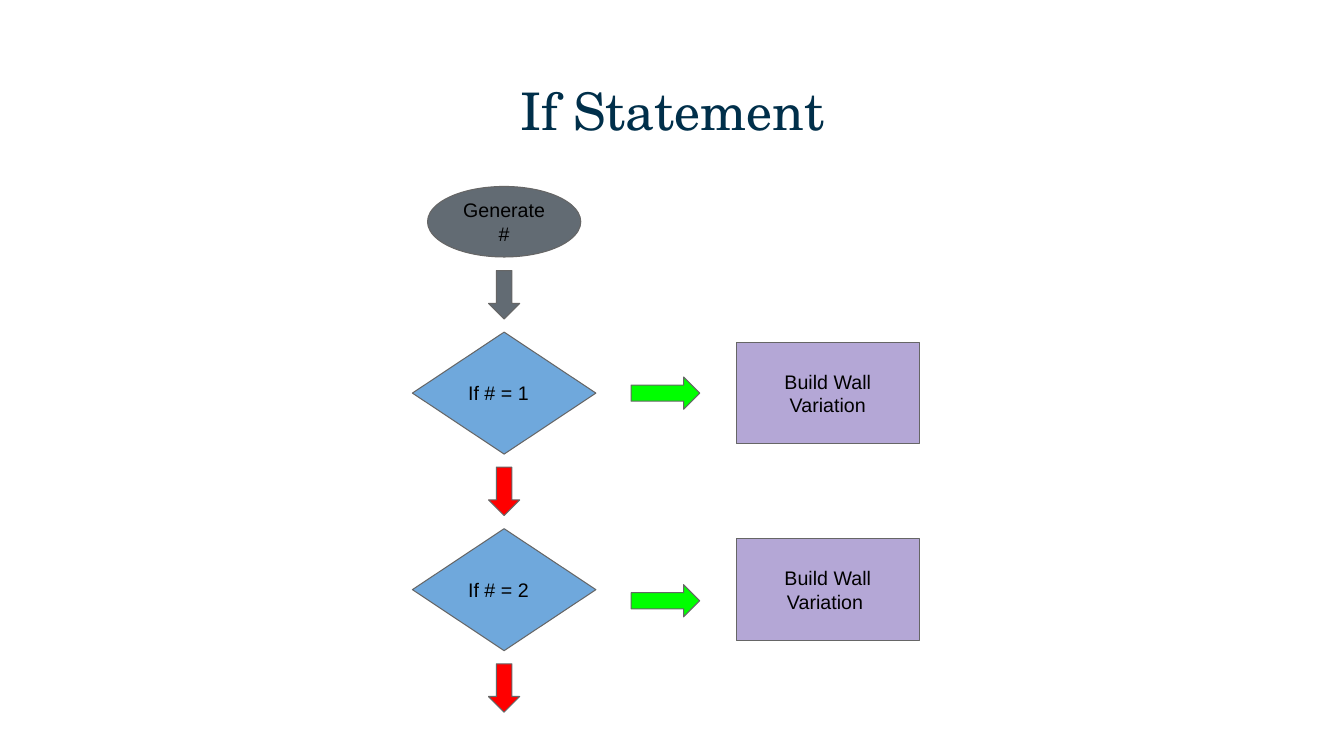
import pptx
import pptx.util
import pptx.dml.color
import pptx.enum.shapes
import pptx.enum.text

Inches, Pt = pptx.util.Inches, pptx.util.Pt
RGB = pptx.dml.color.RGBColor
Kind = pptx.enum.shapes.MSO_SHAPE
Align = pptx.enum.text.PP_ALIGN
Anchor = pptx.enum.text.MSO_ANCHOR

NAVY = RGB(0x00, 0x2F, 0x4A)
BLACK = RGB(0x00, 0x00, 0x00)
GRAY = RGB(0x62, 0x6B, 0x73)
EDGE = RGB(0x66, 0x66, 0x66)
BLUE = RGB(0x6F, 0xA8, 0xDC)
LILAC = RGB(0xB4, 0xA7, 0xD6)
RED = RGB(0xFF, 0x00, 0x00)
GREEN = RGB(0x00, 0xFF, 0x00)

# Column centres, first row centre and row step, in inches
MAIN, YES, BUILD = 5.0, 6.6, 8.21
TOP, STEP = 3.9, 1.95

deck = pptx.Presentation()
deck.slide_width, deck.slide_height = Inches(13.33), Inches(7.5)
slide = deck.slides.add_slide(deck.slide_layouts[5])

title = slide.shapes.title
title.left, title.top = Inches(0.92), Inches(0.4)
title.width, title.height = Inches(11.5), Inches(1.45)
title.text_frame.text = "If Statement"
title.text_frame.vertical_anchor = Anchor.MIDDLE
head = title.text_frame.paragraphs[0]
head.alignment = Align.CENTER
head.line_spacing = 0.9
head.font.name, head.font.size = "TeX Gyre Schola", Pt(37)
head.font.color.rgb = NAVY


def add_node(kind, x, y, size, fill, text="", align=Align.CENTER):
    """Draw a flowchart shape centred on x, y."""
    wide, high = size
    node = slide.shapes.add_shape(kind, Inches(x - wide / 2), Inches(y - high / 2),
                                  Inches(wide), Inches(high))
    node.shadow.inherit = False
    node.fill.solid()
    node.fill.fore_color.rgb = fill
    node.line.color.rgb = EDGE
    node.line.width = Pt(0.75)
    if text:
        frame = node.text_frame
        frame.word_wrap = True
        frame.vertical_anchor = Anchor.MIDDLE
        frame.margin_left = frame.margin_right = Inches(0.1)
        frame.margin_top = frame.margin_bottom = Inches(0.1)
        frame.text = text
        para = frame.paragraphs[0]
        para.alignment = align
        para.font.name, para.font.size = "Arial", Pt(14)
        para.font.color.rgb = BLACK


add_node(Kind.OVAL, MAIN, 2.2, (1.52, 0.7), GRAY, "Generate #")

# The second green arrow sits a little below its row's centre
tests = [("If # = 1", "Build Wall Variation", 0),
         ("If # = 2", "Build Wall Variation ", 0.06 + 0.05)]
for row, (test, build, drop) in enumerate(tests):
    y = TOP + row * STEP
    add_node(Kind.DIAMOND, MAIN, y, (1.82, 1.21), BLUE, test, Align.LEFT)
    add_node(Kind.RIGHT_ARROW, YES, y + drop, (0.68, 0.32), GREEN)
    add_node(Kind.RECTANGLE, BUILD, y, (1.82, 1.01), LILAC, build)

for row, fill in enumerate([GRAY, RED, RED]):
    add_node(Kind.DOWN_ARROW, MAIN, TOP + (row - 0.5) * STEP, (0.31, 0.48), fill)

deck.save("out.pptx")
